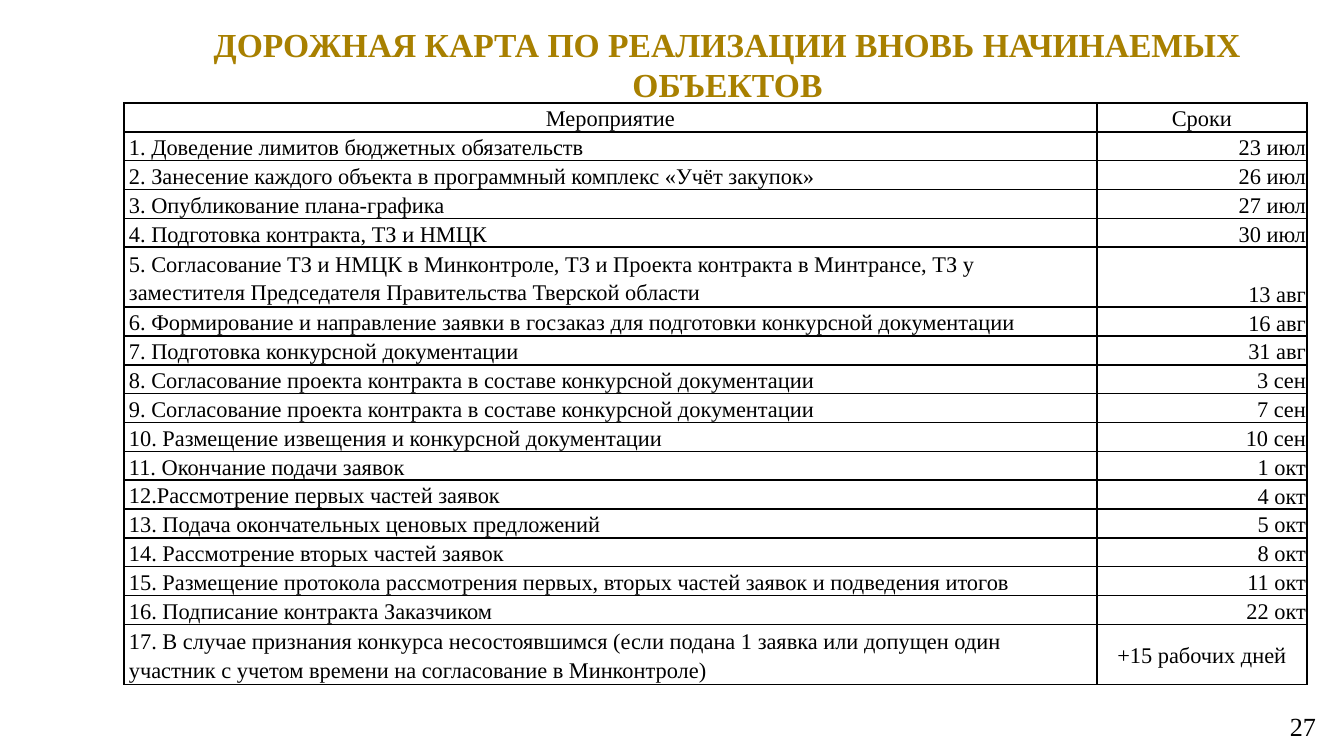
from lxml import etree
from pptx import Presentation
from pptx.dml.color import RGBColor
from pptx.enum.text import MSO_ANCHOR, MSO_AUTO_SIZE, PP_ALIGN
from pptx.oxml.ns import qn
from pptx.util import Pt

LEFT, CENTER, RIGHT = PP_ALIGN.LEFT, PP_ALIGN.CENTER, PP_ALIGN.RIGHT
TOP, MIDDLE, BOTTOM = MSO_ANCHOR.TOP, MSO_ANCHOR.MIDDLE, MSO_ANCHOR.BOTTOM
NO_AUTOFIT = MSO_AUTO_SIZE.NONE

EMU_PER_PX = 914400 / 134.4
TITLE_ONLY = 5
FONT = "Times New Roman"
COLORS = {"text": "000000", "title": "A88000", "border": "000000"}

TITLE = "ДОРОЖНАЯ КАРТА ПО РЕАЛИЗАЦИИ ВНОВЬ НАЧИНАЕМЫХ ОБЪЕКТОВ"
HEADER = ("Мероприятие", "Сроки")
STAGES = [
    ("1. Доведение лимитов бюджетных обязательств", "23 июл"),
    ("2. Занесение каждого объекта в программный комплекс «Учёт закупок»", "26 июл"),
    ("3. Опубликование плана-графика", "27 июл"),
    ("4. Подготовка контракта, ТЗ и НМЦК", "30 июл"),
    ("5. Согласование ТЗ и НМЦК в Минконтроле, ТЗ и Проекта контракта в Минтрансе, "
     "ТЗ у заместителя Председателя Правительства Тверской области", "13 авг"),
    ("6. Формирование и направление заявки в госзаказ для подготовки конкурсной документации",
     "16 авг"),
    ("7. Подготовка конкурсной документации", "31 авг"),
    ("8. Согласование проекта контракта в составе конкурсной документации", "3 сен"),
    ("9. Согласование проекта контракта в составе конкурсной документации", "7 сен"),
    ("10. Размещение извещения и конкурсной документации", "10 сен"),
    ("11. Окончание подачи заявок", "1 окт"),
    ("12.Рассмотрение первых частей заявок", "4 окт"),
    ("13. Подача окончательных ценовых предложений", "5 окт"),
    ("14. Рассмотрение вторых частей заявок", "8 окт"),
    ("15. Размещение протокола рассмотрения первых, вторых частей заявок и подведения итогов",
     "11 окт"),
    ("16. Подписание контракта Заказчиком", "22 окт"),
]
FALLBACK = (
    "17. В случае признания конкурса несостоявшимся (если подана 1 заявка или допущен один "
    "участник с учетом времени на согласование в Минконтроле)", "+15 рабочих дней")
TWO_LINE_ROWS = (5, 17)


def px(length):
    """Convert pixels to EMU."""
    return round(length * EMU_PER_PX)


def style_paragraph(paragraph, size, color, alignment, bold=False):
    """Apply the slide font and an alignment to a paragraph."""
    paragraph.alignment = alignment
    paragraph.font.name = FONT
    paragraph.font.size = Pt(size)
    paragraph.font.bold = bold
    paragraph.font.color.rgb = RGBColor.from_string(COLORS[color])


def fill_text_box(shape, text, size, color, alignment, anchor, bold=False):
    """Write one styled paragraph into a shape."""
    frame = shape.text_frame
    frame.word_wrap = True
    frame.auto_size = NO_AUTOFIT
    frame.vertical_anchor = anchor
    frame.margin_left = frame.margin_right = px(11)
    frame.margin_top = frame.margin_bottom = px(5)
    frame.text = text
    style_paragraph(frame.paragraphs[0], size, color, alignment, bold)


def add_title(slide, left, top, width, height):
    """Place the slide title in its placeholder."""
    title = slide.shapes.title
    title.left, title.top = px(left), px(top)
    title.width, title.height = px(width), px(height)
    fill_text_box(title, TITLE, 18, "title", CENTER, TOP, bold=True)


def add_page_number(slide, left, top, width, height):
    """Place the page number."""
    box = slide.shapes.add_textbox(px(left), px(top), px(width), px(height))
    fill_text_box(box, "27", 14, "text", RIGHT, MIDDLE)


def add_borders(cell):
    """Draw a thin line on every side of a cell."""
    properties = cell._tc.get_or_add_tcPr()
    for position, side in enumerate(("a:lnL", "a:lnR", "a:lnT", "a:lnB")):
        line = etree.Element(qn(side), w=str(Pt(1)))
        fill = etree.SubElement(line, qn("a:solidFill"))
        etree.SubElement(fill, qn("a:srgbClr"), val=COLORS["border"])
        properties.insert(position, line)


def fill_cell(cell, text, alignment, is_date=False):
    """Write a table cell, either a tight date or a spaced text."""
    cell.fill.background()
    add_borders(cell)
    cell.vertical_anchor = BOTTOM if is_date else MIDDLE
    cell.margin_left = cell.margin_right = px(1 if is_date else 5)
    cell.margin_top = px(1 if is_date else 0)
    cell.margin_bottom = 0
    cell.text = text
    paragraph = cell.text_frame.paragraphs[0]
    if not is_date:
        paragraph.line_spacing = 1.15
        paragraph.space_after = Pt(10)
    style_paragraph(paragraph, 12, "text", alignment)


def add_schedule(slide, left, top, width, height):
    """Place the table of stages and their dates."""
    rows = [HEADER, *STAGES, FALLBACK]
    table = slide.shapes.add_table(
        len(rows), 2, px(left), px(top), px(width), px(height)).table
    table.first_row = table.horz_banding = False
    date_width = 210
    table.columns[0].width = px(width - date_width)
    table.columns[1].width = px(date_width)

    two_line_height = 60
    one_line_count = len(rows) - len(TWO_LINE_ROWS)
    one_line_height = (height - two_line_height * len(TWO_LINE_ROWS)) / one_line_count
    for index, (stage, date) in enumerate(rows):
        is_date = 0 < index < len(rows) - 1
        table.rows[index].height = px(
            two_line_height if index in TWO_LINE_ROWS else one_line_height)
        fill_cell(table.cell(index, 0), stage, LEFT if index else CENTER)
        fill_cell(table.cell(index, 1), date, RIGHT if is_date else CENTER, is_date)


def main():
    """Build the roadmap slide and save it."""
    presentation = Presentation()
    presentation.slide_width, presentation.slide_height = px(1344), px(756)
    slide = presentation.slides.add_slide(presentation.slide_layouts[TITLE_ONLY])
    add_schedule(slide, 124, 103, 1183, 582)
    add_title(slide, 132, 19, 1191, 97)
    add_page_number(slide, 1014, 706, 313, 40)
    presentation.save("out.pptx")


if __name__ == "__main__":
    main()
